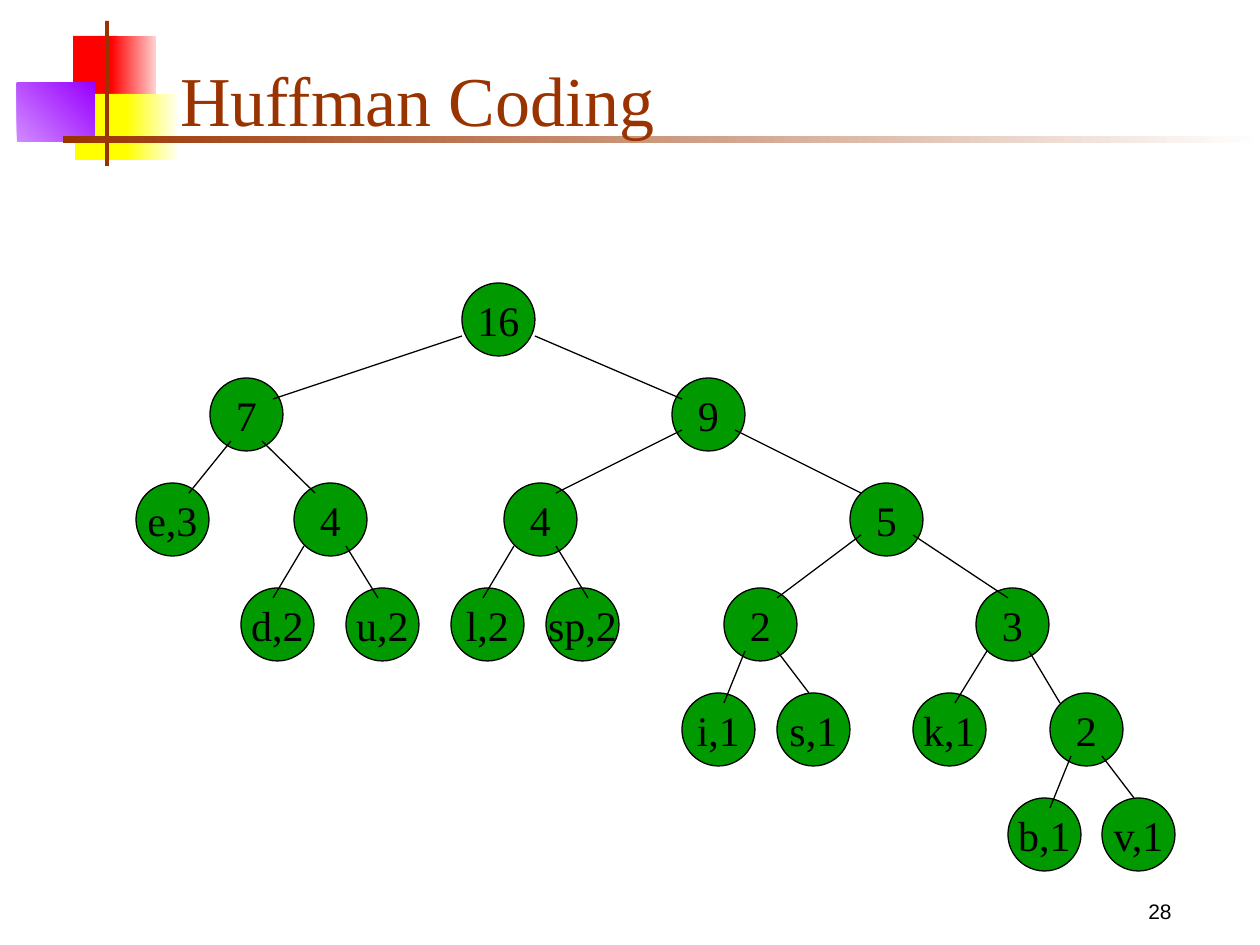
import pptx
import pptx.dml.color
import pptx.enum.shapes
import pptx.enum.text
import pptx.oxml
import pptx.util

EMU_PER_PIXEL = 914400 / 126
SHAPES = pptx.enum.shapes.MSO_SHAPE
ALIGN = pptx.enum.text.PP_ALIGN
ANCHOR = pptx.enum.text.MSO_ANCHOR
BROWN, GREEN, BLACK = "993300", "009900", "000000"


def px(length):
    """Turn pixels into EMU."""
    return pptx.util.Emu(round(length * EMU_PER_PIXEL))


def color(hex_code):
    """Turn a hex string into a colour."""
    return pptx.dml.color.RGBColor.from_string(hex_code)


class TreeSlide:
    """Holds the style and the slide being drawn."""

    serif, sans = "Times New Roman", "Arial"
    line_width = pptx.util.Pt(0.74)
    node_size = 73

    def __init__(self, slide):
        """Keep the shapes of the current slide."""
        self.shapes = slide.shapes

    def set_text(self, frame, text, size, font, hex_code, align, anchor):
        """Set the text of a frame and format it."""
        frame.text = text
        frame.vertical_anchor = anchor
        paragraph = frame.paragraphs[0]
        paragraph.alignment = align
        run_font = paragraph.runs[0].font
        run_font.size = pptx.util.Pt(size)
        run_font.name = font
        run_font.color.rgb = color(hex_code)
        return paragraph

    def label(self, box, text, size, font, hex_code, align, anchor):
        """Add a wrapping text box."""
        frame = self.shapes.add_textbox(*map(px, box)).text_frame
        frame.word_wrap = True
        return self.set_text(frame, text, size, font, hex_code, align, anchor)

    def block(self, box, start, end=None, angle=0):
        """Add a plain or gradient rectangle without outline."""
        rectangle = self.shapes.add_shape(SHAPES.RECTANGLE, *map(px, box))
        rectangle.shadow.inherit = False
        rectangle.line.fill.background()
        if end is None:
            rectangle.fill.solid()
            rectangle.fill.fore_color.rgb = color(start)
            return
        rectangle.fill.gradient()
        rectangle.fill.gradient_angle = angle
        for stop, position, code in zip(rectangle.fill.gradient_stops, (0, 1), (start, end)):
            stop.position = position
            stop.color.rgb = color(code)

    def node(self, text, left, top):
        """Add a round tree node."""
        circle = self.shapes.add_shape(
            SHAPES.OVAL, px(left), px(top), px(self.node_size), px(self.node_size))
        circle.shadow.inherit = False
        circle.fill.solid()
        circle.fill.fore_color.rgb = color(GREEN)
        circle.line.color.rgb = color(BLACK)
        circle.line.width = self.line_width
        circle.text_frame.word_wrap = False
        self.set_text(circle.text_frame, text, 24, self.serif, BLACK,
                      ALIGN.CENTER, ANCHOR.MIDDLE)

    def branch(self, *ends):
        """Add a line between two levels of the tree."""
        line = self.shapes.add_connector(
            pptx.enum.shapes.MSO_CONNECTOR.STRAIGHT, *map(px, ends))
        line.line.color.rgb = color(BLACK)
        line.line.width = self.line_width
        properties = line._element.spPr
        properties.append(pptx.oxml.parse_xml(
            '<a:effectLst xmlns:a="http://schemas.openxmlformats.org/drawingml/2006/main"/>'))


deck = pptx.Presentation()
deck.slide_width, deck.slide_height = px(1260), px(945)
tree = TreeSlide(deck.slides.add_slide(deck.slide_layouts[6]))

ORNAMENT = [
    ((73, 36, 44, 66), "FF0000"),
    ((111, 36, 45, 66), "FF0000", "FFD1D1"),
    ((75, 94, 58, 66), "FFFF00"),
    ((126, 94, 51, 66), "FFFF00", "FFFFF0"),
    ((17, 83, 78, 59), "D18BFF", "9900FF", 45),
    ((105, 21, 4, 145), BROWN),
    ((63, 136, 1197, 7), BROWN, "FFFFFF"),
]
for piece in ORNAMENT:
    tree.block(*piece)

page_number = tree.label((1092, 892, 136, 42), "28", 12, tree.sans, BLACK,
                         ALIGN.CENTER, ANCHOR.TOP)
page_number.space_before = pptx.util.Pt(7.5)
tree.label((168, 32, 1073, 115), "Huffman Coding", 40, tree.serif, BROWN,
           ALIGN.LEFT, ANCHOR.BOTTOM)

# Each level: its top, then the label and left edge of every node.
LEVELS = [
    (283, [("16", 462)]),
    (378, [("7", 210), ("9", 672)]),
    (483, [("e,3", 136), ("4", 294), ("4", 504), ("5", 850)]),
    (588, [("d,2", 241), ("u,2", 346), ("l,2", 451), ("sp,2", 546), ("2", 724), ("3", 976)]),
    (693, [("i,1", 682), ("s,1", 777), ("k,1", 913), ("2", 1050)]),
    (798, [("b,1", 1008), ("v,1", 1102)]),
]
for top, nodes in LEVELS:
    for text, left in nodes:
        tree.node(text, left, top)

# Each parent: start height, then left and right (start x, end x, end y).
BRANCHES = [
    (336, (462, 273, 399), (535, 682, 399)),
    (441, (231, 189, 493), (262, 315, 493)),
    (430, (682, 556, 493), (735, 861, 493)),
    (546, (304, 273, 598), (346, 378, 598)),
    (546, (514, 483, 598), (556, 588, 598)),
    (535, (861, 777, 598), (913, 1008, 598)),
    (651, (745, 724, 703), (777, 809, 693)),
    (651, (987, 955, 703), (1029, 1060, 703)),
    (756, (1071, 1050, 808), (1102, 1134, 798)),
]
for start_y, *sides in BRANCHES:
    for start_x, end_x, end_y in sides:
        tree.branch(start_x, start_y, end_x, end_y)

deck.save("out.pptx")
